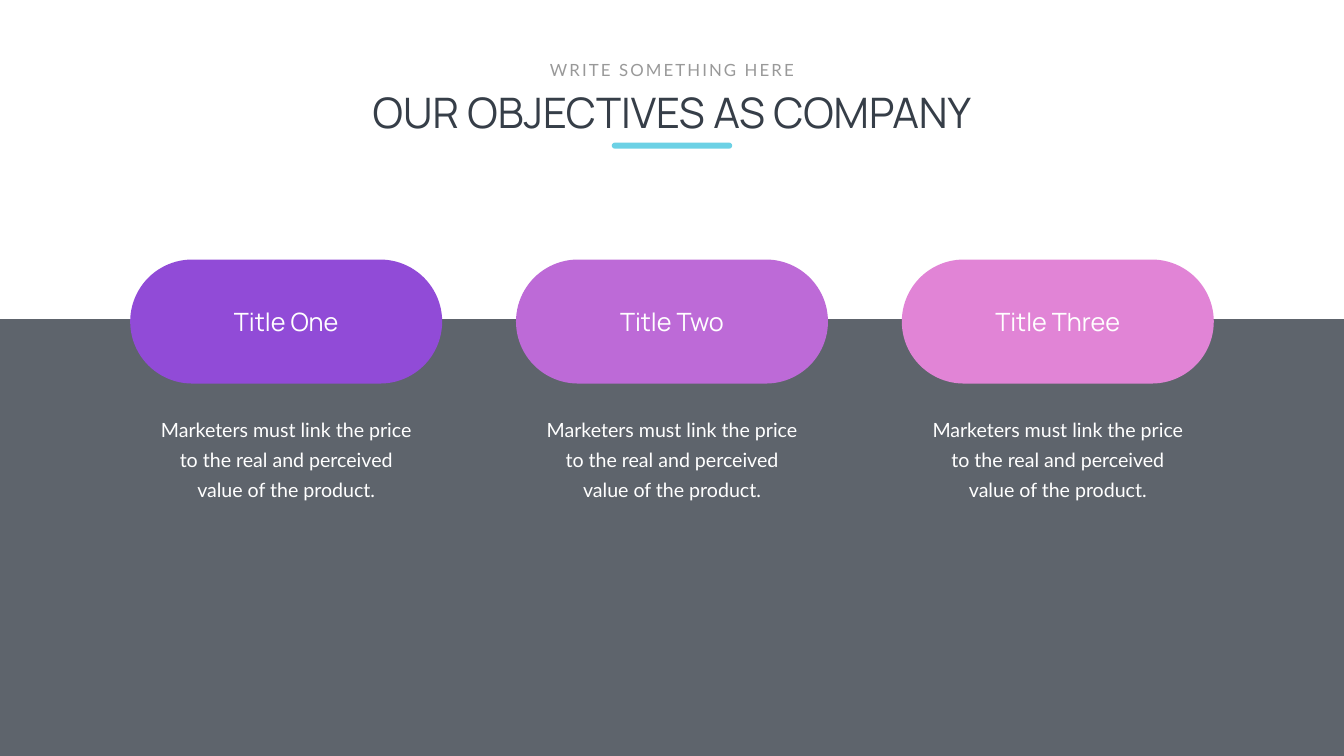
from dataclasses import dataclass

from pptx import Presentation
from pptx import util as u
from pptx.dml.color import RGBColor
from pptx.enum import shapes, text
from pptx.oxml import ns
from lxml import etree


@dataclass(frozen=True)
class Theme:
    ink: str = "363E48"
    muted: str = "999999"
    accent: str = "6CD1E5"
    light: str = "FFFFFF"
    pills: tuple = ("914BD7", "BD6AD7", "E184D6")
    heading_font: str = "Manrope"
    body_font: str = "Lato"
    title_size: int = 60
    label_size: int = 36
    body_size: int = 28
    kicker_size: int = 24


THEME = Theme()
PAGE_WIDTH, PAGE_HEIGHT = 67.72, 38.1
BODY = "Marketers must link the price to the real and perceived value of the product."
OBJECTIVES = (("Title One", BODY), ("Title Two", BODY), ("Title Three", BODY))


def add_block(page, kind, left, top, width, height, color):
    block = page.shapes.add_shape(kind, u.Cm(left), u.Cm(top), u.Cm(width), u.Cm(height))
    block.shadow.inherit = False
    block.fill.solid()
    block.fill.fore_color.rgb = RGBColor.from_string(color)
    block.line.fill.background()
    return block


def add_pill(page, left, top, width, height, color):
    pill = add_block(page, shapes.MSO_SHAPE.ROUNDED_RECTANGLE, left, top, width, height, color)
    pill.adjustments[0] = 0.5


def add_text(page, words, left, top, width, height, font, size, color):
    box = page.shapes.add_textbox(u.Cm(left), u.Cm(top), u.Cm(width), u.Cm(height))
    frame = box.text_frame
    frame.word_wrap = True
    frame.vertical_anchor = text.MSO_ANCHOR.MIDDLE
    frame.margin_top = frame.margin_bottom = 0
    frame.text = words
    para = frame.paragraphs[0]
    para.alignment = text.PP_ALIGN.CENTER
    span = para.runs[0]
    span.font.name = font
    span.font.size = u.Pt(size)
    span.font.color.rgb = RGBColor.from_string(color)
    return para


def add_backdrop(page, left, top, width, height):
    band = add_block(page, shapes.MSO_SHAPE.RECTANGLE, left, top, width, height, THEME.ink)
    color = band.fill._xPr.find(".//" + ns.qn("a:srgbClr"))
    etree.SubElement(color, ns.qn("a:alpha"), val="80000")


def add_header(page, left, top, width):
    kicker = add_text(page, "WRITE SOMETHING HERE", left, top, width, 1.27,
                      THEME.body_font, THEME.kicker_size, THEME.muted)
    kicker.runs[0].font._element.set("spc", "300")
    add_text(page, "OUR OBJECTIVES AS COMPANY", left, top + 1.37, width, 2.82,
             THEME.heading_font, THEME.title_size, THEME.ink)
    rule_width = 6.07
    add_pill(page, left + (width - rule_width) / 2, top + 4.32, rule_width, 0.3, THEME.accent)


def add_objective(page, left, top, width, label, body, color):
    pill_height = 6.25
    add_pill(page, left, top, width, pill_height, color)
    label_width, label_height = 7.72, 1.8
    add_text(page, label, left + (width - label_width) / 2,
             top + (pill_height - label_height) / 2, label_width, label_height,
             THEME.heading_font, THEME.label_size, THEME.light)
    body_width = 13.69
    para = add_text(page, body, left + (width - body_width) / 2, top + 7.59,
                    body_width, 4.67, THEME.body_font, THEME.body_size, THEME.light)
    para.line_spacing = u.Pt(43)


def add_objectives(page, left, top, width):
    card_width = 15.72
    pitch = (width - card_width) / (len(OBJECTIVES) - 1)
    for index, ((label, body), color) in enumerate(zip(OBJECTIVES, THEME.pills)):
        add_objective(page, left + index * pitch, top, card_width, label, body, color)


def main():
    deck = Presentation()
    deck.slide_width, deck.slide_height = u.Cm(PAGE_WIDTH), u.Cm(PAGE_HEIGHT)
    page = deck.slides.add_slide(deck.slide_layouts[6])
    band_top = 16.08
    add_backdrop(page, 0, band_top, PAGE_WIDTH, PAGE_HEIGHT - band_top)
    header_width = 40.79
    add_header(page, (PAGE_WIDTH - header_width) / 2, 2.87, header_width)
    margin = 6.56
    add_objectives(page, margin, 13.08, PAGE_WIDTH - 2 * margin)
    deck.save("out.pptx")


if __name__ == "__main__":
    main()
